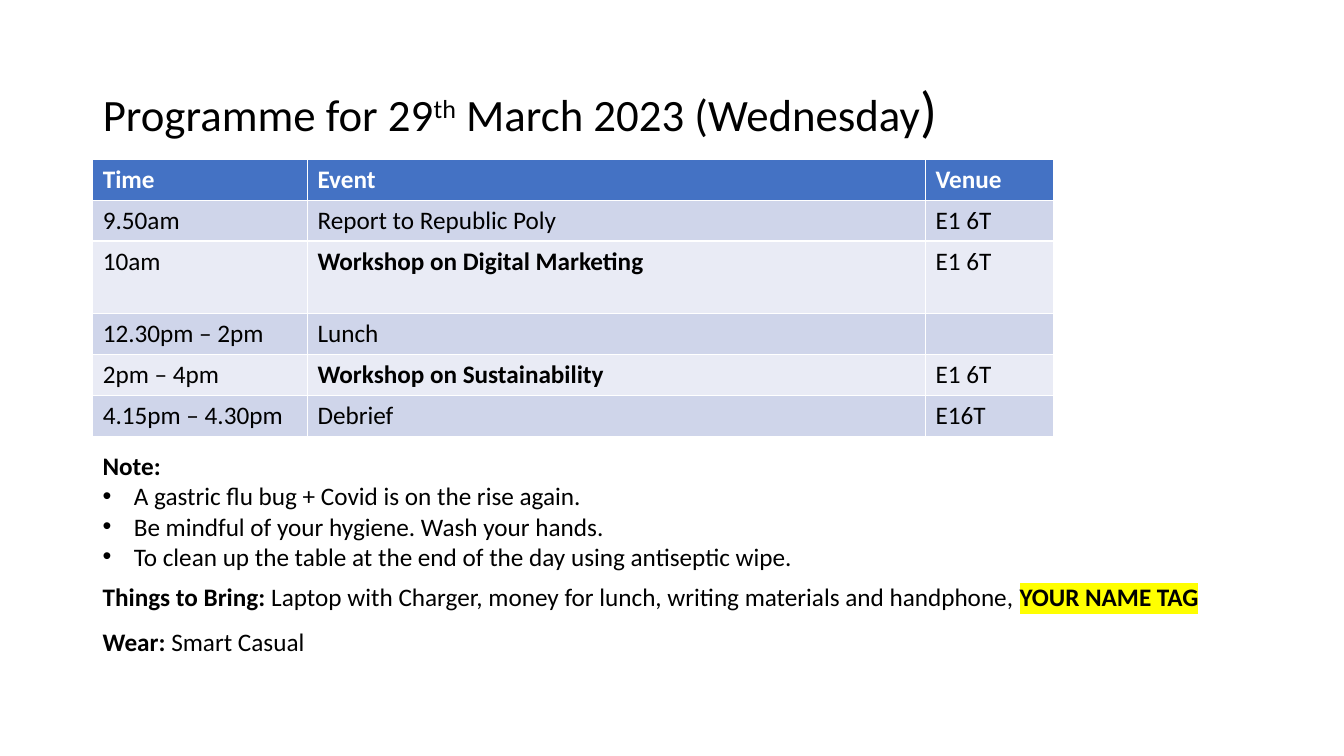
from lxml.etree import SubElement
from pptx import Presentation
from pptx.dml.color import RGBColor
from pptx.enum.text import MSO_ANCHOR as Anchor, PP_ALIGN as Align
from pptx.oxml.ns import qn
from pptx.util import Inches, Pt

WIDE, HIGH = Inches(13.33), Inches(7.5)
LEFT = 6.9
BLACK = RGBColor(0, 0, 0)
WHITE = RGBColor(255, 255, 255)
BLUE = RGBColor(0x44, 0x72, 0xC4)
DARK = RGBColor(0xCF, 0xD5, 0xEA)
PALE = RGBColor(0xE9, 0xEB, 0xF5)
YELLOW = RGBColor(255, 255, 0)

COLS = [15.98, 45.98, 9.53]
ROW, TALL = 5.4, 9.6
EVENTS = [
    ("Time", "Event", "Venue"),
    ("9.50am", "Report to Republic Poly", "E1 6T"),
    ("10am", "Workshop on Digital Marketing", "E1 6T"),
    ("12.30pm – 2pm", "Lunch", ""),
    ("2pm – 4pm", "Workshop on Sustainability", "E1 6T"),
    ("4.15pm – 4.30pm", "Debrief", "E16T"),
]
NOTES = [
    "A gastric flu bug + Covid is on the rise again.",
    "Be mindful of your hygiene. Wash your hands.",
    "To clean up the table at the end of the day using antiseptic wipe.",
]


def across(share):
    """Length of a percentage of the slide's width."""
    return round(WIDE * share / 100)


def down(share):
    """Length of a percentage of the slide's height."""
    return round(HIGH * share / 100)


def area(top, wide, high):
    """Left, top, width and height of a block on the left margin."""
    return across(LEFT), down(top), across(wide), down(high)


def style(para, size=18, color=BLACK, bold=False):
    font = para.font
    font.name, font.size, font.bold = "Calibri", Pt(size), bold
    font.color.rgb = color


def add_run(para, text, bold=None):
    run = para.add_run()
    run.text = text
    run.font.bold = bold
    return run


def add_title(slide):
    title = slide.shapes.title
    title.left, title.top, title.width, title.height = area(5.33, 86.25, 19.33)
    title.text_frame.vertical_anchor = Anchor.MIDDLE
    para = title.text_frame.paragraphs[0]
    para.alignment, para.line_spacing = Align.LEFT, 0.9
    style(para, 32)
    add_run(para, "Programme for 29")
    raised = add_run(para, "th")
    raised.font._element.set("baseline", "30000")
    add_run(para, " March 2023 (Wednesday")
    add_run(para, ")").font.size = Pt(40)


def add_events(slide):
    place = area(21.07, sum(COLS), ROW * 5 + TALL)
    table = slide.shapes.add_table(len(EVENTS), len(COLS), *place).table
    for col, wide in zip(table.columns, COLS):
        col.width = across(wide)
    for i, texts in enumerate(EVENTS):
        table.rows[i].height = down(TALL if i == 2 else ROW)
        fill = BLUE if i == 0 else DARK if i % 2 else PALE
        for j, text in enumerate(texts):
            cell = table.cell(i, j)
            cell.fill.solid()
            cell.fill.fore_color.rgb = fill
            cell.text = text
            bold = i == 0 or text.startswith("Workshop")
            style(cell.text_frame.paragraphs[0],
                  color=BLACK if i else WHITE, bold=bold)


def add_box(slide, top, wide, high=5.33):
    """Add a wrapping text box and return its text frame."""
    frame = slide.shapes.add_textbox(*area(top, wide, high)).text_frame
    frame.word_wrap = True
    return frame


def add_line(slide, top, wide, label, text):
    """Add a bold label followed by plain text."""
    para = add_box(slide, top, wide).paragraphs[0]
    style(para)
    add_run(para, label, True)
    add_run(para, text, False)
    return para


def add_bullet(para):
    props = para._p.get_or_add_pPr()
    indent = Inches(0.31)
    props.set("marL", str(indent))
    props.set("indent", str(-indent))
    SubElement(props, qn("a:buFont"), typeface="Arial")
    SubElement(props, qn("a:buChar"), char="•")


def add_notes(slide):
    frame = add_box(slide, 58.93, 83.85, 17.47)
    head = frame.paragraphs[0]
    head.text = "Note:"
    style(head, bold=True)
    for note in NOTES:
        para = frame.add_paragraph()
        para.text = note
        add_bullet(para)
        style(para)


def mark(run, color):
    """Highlight a run."""
    light = SubElement(run.font._element, qn("a:highlight"))
    SubElement(light, qn("a:srgbClr"), val=str(color))


def main():
    deck = Presentation()
    deck.slide_width, deck.slide_height = WIDE, HIGH
    slide = deck.slides.add_slide(deck.slide_layouts[5])
    add_title(slide)
    add_events(slide)
    bring = add_line(
        slide, 76.27, 85.2, "Things to Bring: ",
        "Laptop with Charger, money for lunch, writing materials and handphone, ")
    mark(add_run(bring, "YOUR NAME TAG", True), YELLOW)
    add_line(slide, 82.13, 83.85, "Wear: ", "Smart Casual")
    add_notes(slide)
    deck.save("out.pptx")


if __name__ == "__main__":
    main()
